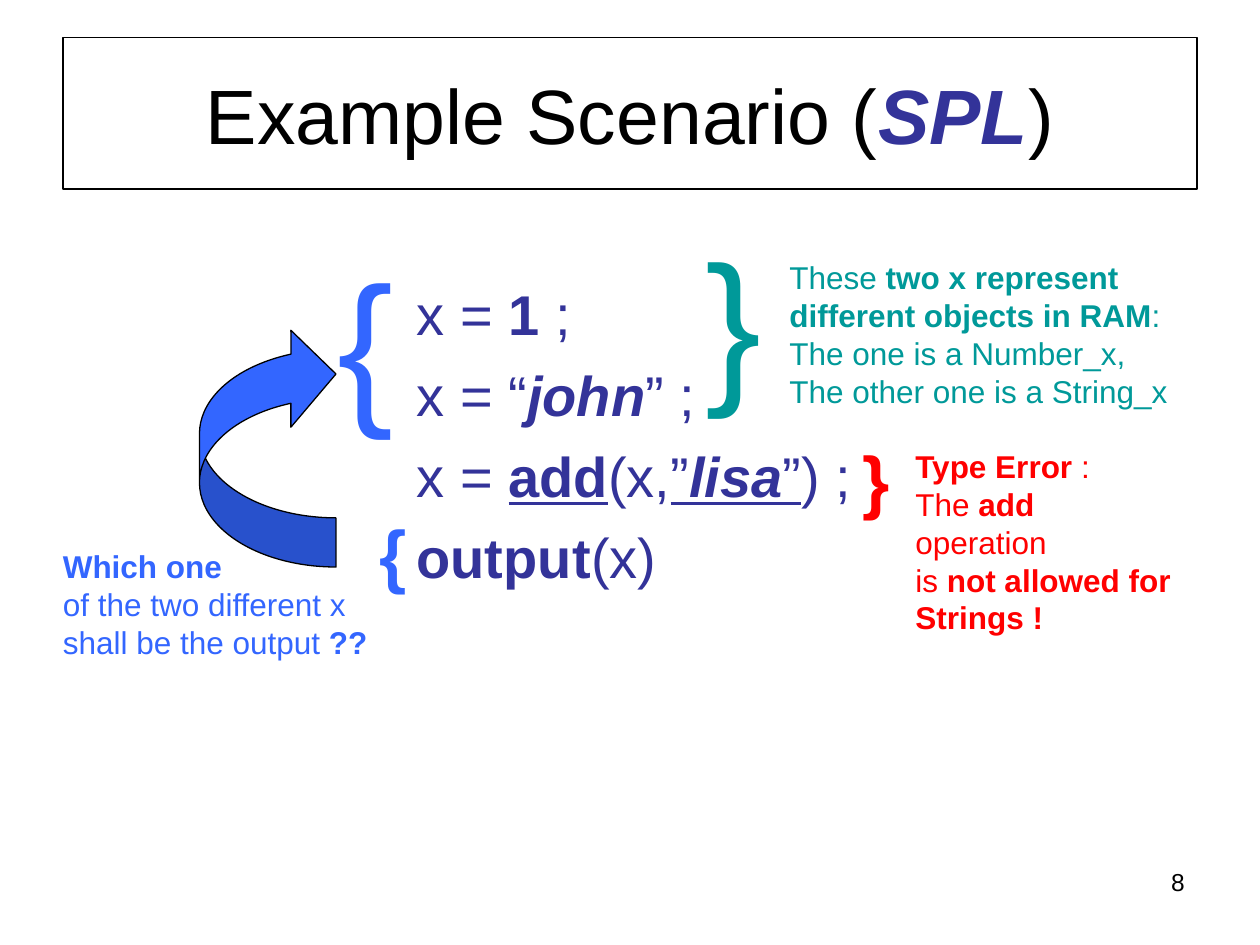
"""Build the example scenario slide with annotated SPL code."""
import pptx
import pptx.dml.color
import pptx.enum.shapes
import pptx.enum.text
import pptx.util

Pt = pptx.util.Pt
RGBColor = pptx.dml.color.RGBColor
ALIGN = pptx.enum.text.PP_ALIGN
ANCHOR = pptx.enum.text.MSO_ANCHOR
SHAPE = pptx.enum.shapes.MSO_SHAPE

COLOURS = {
    "black": "000000",
    "navy": "333399",
    "teal": "009999",
    "blue": "3366FF",
    "red": "FF0000",
}


def colour(name):
    return RGBColor.from_string(COLOURS[name])


def write(shape, lines, size, default_colour, align=ALIGN.LEFT, gap=0, indent=0, wrap=True):
    frame = shape.text_frame
    frame.word_wrap = wrap
    for number, line in enumerate(lines):
        paragraph = frame.paragraphs[0] if number == 0 else frame.add_paragraph()
        paragraph.alignment = align
        if indent:
            paragraph._p.get_or_add_pPr().set("marL", str(Pt(indent)))
        if number and gap:
            paragraph.space_before = Pt(gap)
        for text, style, *override in line:
            run = paragraph.add_run()
            run.text = text
            run.font.name = "Arial"
            run.font.size = Pt(size)
            run.font.bold = "b" in style
            run.font.italic = "i" in style
            run.font.underline = "u" in style
            run.font.color.rgb = colour(override[0] if override else default_colour)


presentation = pptx.Presentation()
presentation.slide_width = Pt(720)
presentation.slide_height = Pt(540)
slide = presentation.slides.add_slide(presentation.slide_layouts[6])

title = slide.shapes.add_shape(SHAPE.RECTANGLE, Pt(36), Pt(21.6), Pt(648), Pt(86.4))
title.shadow.inherit = False
title.fill.background()
title.line.color.rgb = colour("black")
title.line.width = Pt(0.75)
title.text_frame.vertical_anchor = ANCHOR.MIDDLE
write(title, [[("Example Scenario (", ""), ("SPL", "bi", "navy"), (")", "")]],
      44, "black", ALIGN.CENTER)

code = slide.shapes.add_textbox(Pt(204), Pt(156), Pt(324), Pt(192))
code_lines = [
    [("x = ", ""), ("1", "b"), (" ;", "")],
    [("x = “", ""), ("john", "bi"), ("” ;", "")],
    [("x = ", ""), ("add", "bu"), ("(x,", ""), ("”", "u"), ("lisa", "biu"),
     ("”", "u"), (") ;", "")],
    [("output", "b"), ("(x)", "")],
]
write(code, code_lines, 32, "navy", gap=8, indent=27)

braces = [
    ("}", 396, 120, 46, 122.4, 96, "teal", ""),
    ("{", 186, 132, 46, 122.4, 96, "blue", ""),
    ("{", 210, 288, 29.5, 55.2, 40, "blue", "b"),
    ("}", 486, 246, 29.5, 55.2, 40, "red", "b"),
]
for symbol, left, top, width, height, size, name, style in braces:
    brace = slide.shapes.add_textbox(Pt(left), Pt(top), Pt(width), Pt(height))
    write(brace, [[(symbol, style)]], size, name, wrap=False)

arrow = slide.shapes.add_shape(SHAPE.CURVED_DOWN_ARROW, Pt(84), Pt(216), Pt(138), Pt(78))
arrow.rotation = 270
for index, ratio in enumerate((0.36, 0.71, 0.33)):
    arrow.adjustments[index] = ratio
arrow.shadow.inherit = False
arrow.fill.solid()
arrow.fill.fore_color.rgb = colour("blue")
arrow.line.color.rgb = colour("black")
arrow.line.width = Pt(0.75)

notes = [
    (444, 144, 253.5, 93.6, "teal", True, [
        [("These ", ""), ("two x represent", "b")],
        [("different objects in RAM", "b"), (":", "")],
        [("The one is a Number_x,", "")],
        [("The other one is a String_x", "")],
    ]),
    (28.8, 309, 188.6, 72, "blue", False, [
        [("Which one", "b")],
        [("of the two different x", "")],
        [("shall be the output ", ""), ("??", "b")],
    ]),
    (516, 252, 162, 93.6, "red", False, [
        [("Type Error ", "b"), (":", "")],
        [("The ", ""), ("add", "b"), (" operation", "")],
        [("is ", ""), ("not allowed for", "b")],
        [("Strings !", "b")],
    ]),
]
for left, top, width, height, name, wrap, lines in notes:
    note = slide.shapes.add_textbox(Pt(left), Pt(top), Pt(width), Pt(height))
    write(note, lines, 18, name, wrap=wrap)

page_number = slide.shapes.add_textbox(Pt(516), Pt(492), Pt(168), Pt(37.5))
write(page_number, [[("8", "")]], 14, "black", ALIGN.RIGHT)

presentation.save("out.pptx")
